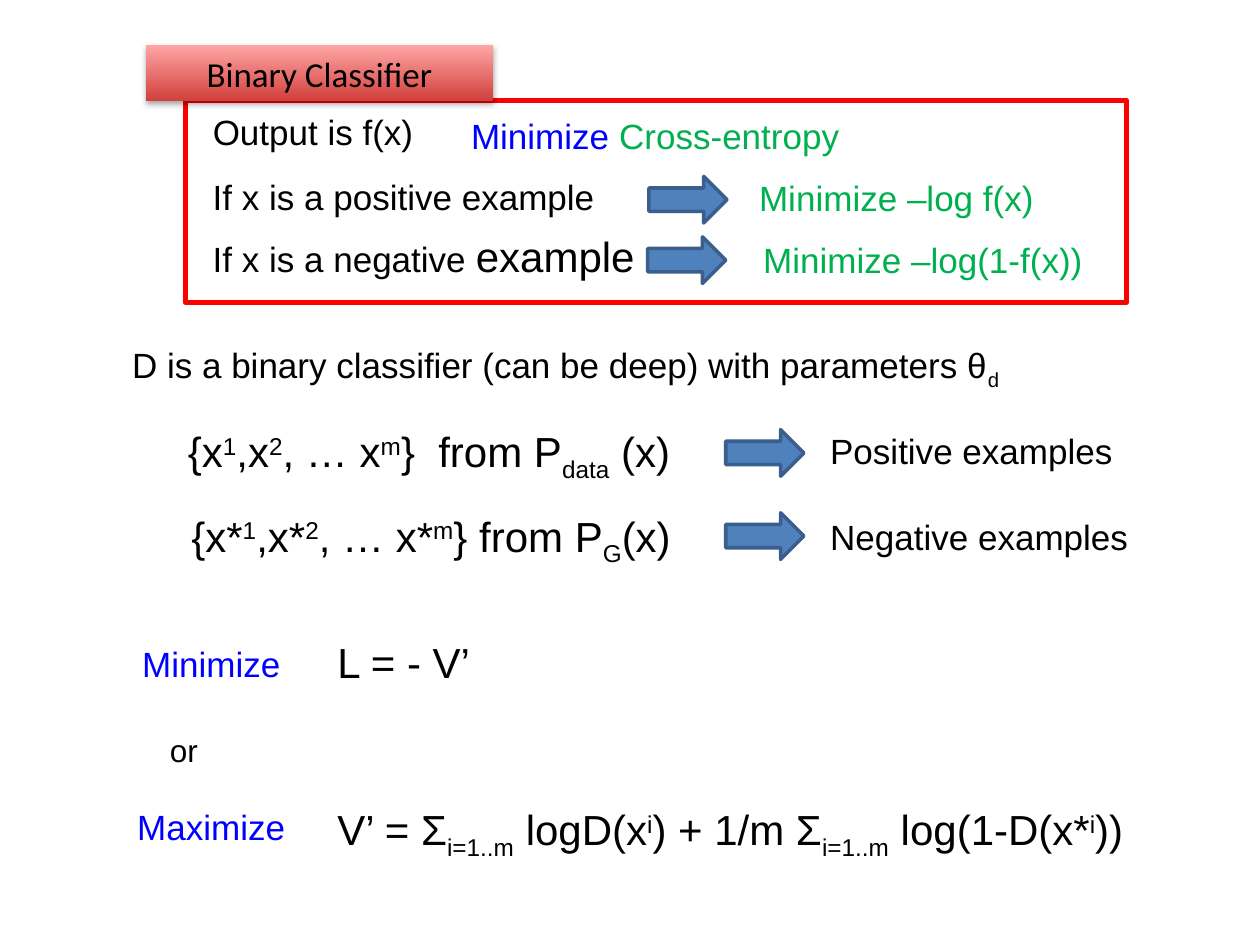
from dataclasses import dataclass

from lxml import etree
from pptx import Presentation
from pptx import util as u
from pptx.dml.color import RGBColor
from pptx.enum import shapes, text
from pptx.oxml.ns import qn


@dataclass(frozen=True)
class Theme:
    black: str = "000000"
    blue: str = "0000FF"
    green: str = "00B050"
    red: str = "FF0000"
    banner_dark: str = "D1403C"
    banner_light: str = "FFA6A5"
    arrow: str = "4F81BD"
    arrow_edge: str = "3A5F8C"
    font: str = "Arial"
    banner_font: str = "Calibri"
    small: int = 18
    body: int = 20
    formula: int = 24


THEME = Theme()
SUPER = {"baseline": 30000}
SUB = {"baseline": -25000}
BODY_HEIGHT, FORMULA_HEIGHT = 0.44, 0.51
ARROW_SIZE = (0.62, 0.37)


def place(left, top, width, height):
    return [u.Inches(value) for value in (left, top, width, height)]


def rgb(value):
    return RGBColor.from_string(value)


def write_spans(frame, spans, size, color, font=THEME.font, align=None):
    """Write one paragraph; each span is a string or (string, overrides)."""
    para = frame.paragraphs[0]
    if align is not None:
        para.alignment = align
    for item in spans:
        words, style = (item, {}) if isinstance(item, str) else item
        span = para.add_run()
        span.text = words
        span.font.name = font
        span.font.size = u.Pt(style.get("size", size))
        span.font.color.rgb = rgb(style.get("color", color))
        if "baseline" in style:
            span.font._element.set("baseline", str(style["baseline"]))


def add_text(page, box, *spans, size=THEME.body, color=THEME.black,
             align=None, wrap=True):
    frame = page.shapes.add_textbox(*place(*box)).text_frame
    frame.word_wrap = wrap
    frame.auto_size = text.MSO_AUTO_SIZE.SHAPE_TO_FIT_TEXT
    write_spans(frame, spans, size, color, align=align)


def add_arrow(page, left, top):
    arrow = page.shapes.add_shape(shapes.MSO_SHAPE.RIGHT_ARROW,
                                  *place(left, top, *ARROW_SIZE))
    arrow.shadow.inherit = False
    arrow.fill.solid()
    arrow.fill.fore_color.rgb = rgb(THEME.arrow)
    arrow.line.color.rgb = rgb(THEME.arrow_edge)
    arrow.line.width = u.Pt(2)


def add_soft_shadow(shape):
    shape.shadow.inherit = False
    effects = shape._element.spPr.find(qn("a:effectLst"))
    shadow = etree.SubElement(effects, qn("a:outerShdw"), blurRad="40000",
                              dist="23000", dir="5400000", rotWithShape="0")
    color = etree.SubElement(shadow, qn("a:srgbClr"), val=THEME.black)
    etree.SubElement(color, qn("a:alpha"), val="35000")


def add_banner(page, box):
    banner = page.shapes.add_shape(shapes.MSO_SHAPE.RECTANGLE, *place(*box))
    banner.fill.gradient()
    banner.fill.gradient_angle = 90
    colors = (THEME.banner_dark, THEME.banner_light)
    for stop, color, position in zip(banner.fill.gradient_stops, colors, (0, 1)):
        stop.color.rgb = rgb(color)
        stop.position = position
    banner.line.fill.background()
    add_soft_shadow(banner)
    write_spans(banner.text_frame, ["Binary Classifier"], THEME.body,
                THEME.black, THEME.banner_font, text.PP_ALIGN.CENTER)


def add_classifier_panel(page, box):
    left, top, width, height = box
    frame = page.shapes.add_shape(shapes.MSO_SHAPE.RECTANGLE, *place(*box))
    frame.shadow.inherit = False
    frame.fill.background()
    frame.line.color.rgb = rgb(THEME.red)
    frame.line.width = u.Pt(3)
    add_banner(page, (left - 0.31, top - 0.44, 2.75, 0.44))

    add_text(page, (left + 0.12, top + 0.03, 2.12, BODY_HEIGHT), "Output is f(x)")
    add_text(page, (left + 2.17, top + 0.06, 4.07, BODY_HEIGHT),
             "Minimize ", ("Cross-entropy", {"color": THEME.green}),
             color=THEME.blue)

    cases = [
        (0.54, BODY_HEIGHT, ["If x is a positive example"],
         3.68, 0.6, "Minimize –log f(x)", 4.04, 0.55),
        (0.98, FORMULA_HEIGHT,
         ["If x is a negative ", ("example", {"size": THEME.formula})],
         3.67, 1.08, "Minimize –log(1-f(x))", 4.25, 1.04),
    ]
    for case_y, case_height, case, arrow_x, arrow_y, goal, goal_x, goal_y in cases:
        add_text(page, (left + 0.12, top + case_y, 3.86, case_height), *case)
        add_arrow(page, left + arrow_x, top + arrow_y)
        add_text(page, (left + goal_x, top + goal_y, 3.21, BODY_HEIGHT), goal,
                 color=THEME.green, align=text.PP_ALIGN.CENTER)


def add_samples(page, box):
    left, top, width, _ = box
    add_text(page, (left, top, width, BODY_HEIGHT),
             "D is a binary classifier (can be deep) with parameters θ", ("d", SUB))
    add_text(page, (left + 0.38, top + 0.65, 4.18, FORMULA_HEIGHT),
             "{x", ("1", SUPER), ",x", ("2", SUPER), ", … x", ("m", SUPER),
             "}  from P", ("data", SUB), " (x) ",
             size=THEME.formula, align=text.PP_ALIGN.RIGHT, wrap=False)
    add_text(page, (left + 0.47, top + 1.32, 4.12, FORMULA_HEIGHT),
             "{x*", ("1", SUPER), ",x*", ("2", SUPER), ", … x*", ("m", SUPER),
             "} from P", ("G", SUB), "(x)", size=THEME.formula, wrap=False)
    for row, label in enumerate(("Positive examples", "Negative examples")):
        add_arrow(page, left + 4.81, top + 0.73 + row * 0.66)
        add_text(page, (left + 5.54, top + 0.68 + row * 0.68, 3.86, BODY_HEIGHT),
                 label)


def add_objective(page, box):
    left, top, width, _ = box
    formula_left = left + 1.59
    add_text(page, (left + 0.04, top + 0.05, 1.53, BODY_HEIGHT), "Minimize",
             color=THEME.blue)
    add_text(page, (formula_left, top, 1.26, FORMULA_HEIGHT), "L = - V’",
             size=THEME.formula, wrap=False)
    add_text(page, (left + 0.26, top + 0.75, 0.43, 0.4), "or",
             size=THEME.small, wrap=False)
    add_text(page, (left, top + 1.34, 1.53, BODY_HEIGHT), "Maximize",
             color=THEME.blue)
    add_text(page, (formula_left, top + 1.33, width - 1.59, FORMULA_HEIGHT),
             "V’ = Σ", ("i=1..m", SUB), " logD(x", ("i", SUPER),
             ") + 1/m Σ", ("i=1..m", SUB), " log(1-D(x*", ("i", SUPER), "))",
             size=THEME.formula)


def main():
    deck = Presentation()
    deck.slide_width, deck.slide_height = u.Inches(10), u.Inches(7.5)
    page = deck.slides.add_slide(deck.slide_layouts.get_by_name("Blank"))
    add_classifier_panel(page, (1.47, 0.8, 7.47, 1.6))
    add_samples(page, (0.95, 2.68, 8.53, 1.83))
    add_objective(page, (0.99, 5, 8.34, 1.84))
    deck.save("out.pptx")


if __name__ == "__main__":
    main()
